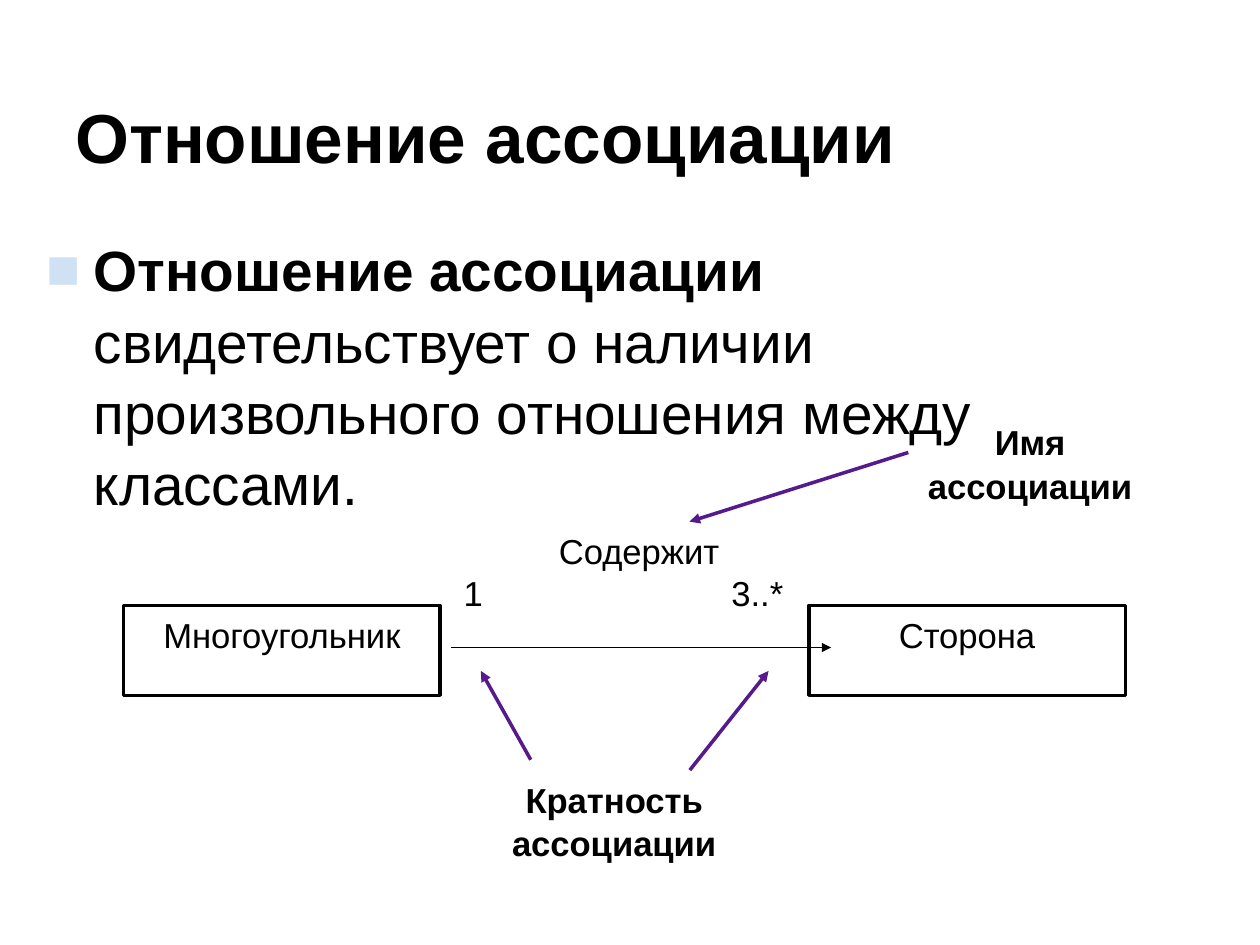
from lxml import etree
from pptx import Presentation
from pptx.dml.color import RGBColor
from pptx.enum.shapes import MSO_CONNECTOR, MSO_SHAPE
from pptx.enum.text import MSO_ANCHOR, PP_ALIGN
from pptx.oxml.ns import qn
from pptx.util import Pt

LEFT, CENTER = PP_ALIGN.LEFT, PP_ALIGN.CENTER
TOP, MIDDLE = MSO_ANCHOR.TOP, MSO_ANCHOR.MIDDLE
RECTANGLE, STRAIGHT = MSO_SHAPE.RECTANGLE, MSO_CONNECTOR.STRAIGHT
FONT = "Arial"
BLACK, WHITE, PURPLE, PALE_BLUE = "000000", "FFFFFF", "551A8B", "CFE2F3"
CLASS_WIDTH, CLASS_HEIGHT = 201, 57


def color(hex_string):
    """Turn a hex string into a colour."""
    return RGBColor.from_string(hex_string)


def write(shape, *runs, size=22, align=LEFT, anchor=TOP, spacing=1.05):
    """Write (text, bold) runs as one paragraph and return it."""
    frame = shape.text_frame
    frame.word_wrap = True
    frame.vertical_anchor = anchor
    frame.margin_left = frame.margin_right = Pt(7.9)
    frame.margin_top = frame.margin_bottom = Pt(4)
    paragraph = frame.paragraphs[0]
    paragraph.alignment = align
    paragraph.line_spacing = spacing
    for text, bold in runs:
        run = paragraph.add_run()
        run.text = text
        run.font.name = FONT
        run.font.size = Pt(size)
        run.font.bold = bold
        run.font.color.rgb = color(BLACK)
    return paragraph


def add_text(slide, box, *runs, **text_format):
    """Add a text box and return its paragraph."""
    return write(slide.shapes.add_textbox(*map(Pt, box)), *runs, **text_format)


def add_bullet(paragraph, indent):
    """Give a paragraph a square bullet with a hanging indent."""
    properties = paragraph._p.get_or_add_pPr()
    properties.set("marL", str(Pt(indent)))
    properties.set("indent", str(-Pt(indent)))
    bullet_color = etree.SubElement(properties, qn("a:buClr"))
    etree.SubElement(bullet_color, qn("a:srgbClr"), val=PALE_BLUE)
    etree.SubElement(properties, qn("a:buFont"), typeface=FONT)
    etree.SubElement(properties, qn("a:buChar"), char="■")


def add_arrow(slide, start, end, line_color=PURPLE, width=2.25):
    """Draw a straight arrow between two points."""
    arrow = slide.shapes.add_connector(STRAIGHT, *map(Pt, (*start, *end)))
    arrow.line.color.rgb = color(line_color)
    arrow.line.width = Pt(width)
    etree.SubElement(arrow.line._get_or_add_ln(), qn("a:tailEnd"), type="triangle")
    etree.SubElement(arrow._element.spPr, qn("a:effectLst"))


def add_class(slide, left, top, name):
    """Draw a class rectangle with its name."""
    box = (left, top, CLASS_WIDTH, CLASS_HEIGHT)
    shape = slide.shapes.add_shape(RECTANGLE, *map(Pt, box))
    shape.shadow.inherit = False
    shape.fill.solid()
    shape.fill.fore_color.rgb = color(WHITE)
    shape.line.color.rgb = color(BLACK)
    shape.line.width = Pt(2.25)
    write(shape, (name, False), align=CENTER)


def add_statement(slide, box):
    """Add the bulleted definition."""
    paragraph = add_text(
        slide, box, ("Отношение ассоциации", True),
        (" свидетельствует о наличии произвольного отношения между классами.", False),
        size=36)
    add_bullet(paragraph, 30)


def add_diagram(slide, box):
    """Draw two classes at the sides of the box and their association."""
    left, top, width, height = box
    class_top = top + height - CLASS_HEIGHT
    add_class(slide, left, class_top, "Многоугольник")
    add_class(slide, left + width - CLASS_WIDTH, class_top, "Сторона")
    line_left, line_top = left + 208, class_top + 26.6
    add_arrow(slide, (line_left, line_top), (line_left + 241.2, line_top), BLACK, 0.75)
    add_text(slide, (left + 226.8, top, CLASS_WIDTH, CLASS_HEIGHT),
             ("Содержит", False), align=CENTER)
    for offset, label_width, label in ((208, 40, "1"), (378, 81, "3..*")):
        add_text(slide, (left + offset, top + 26.6, label_width, CLASS_HEIGHT),
                 (label, False))


def add_callout(slide, box, text, arrows):
    """Add a bold label and arrows given relative to its corner."""
    left, top = box[:2]
    add_text(slide, box, (text, True), align=CENTER)
    for (start_x, start_y), (end_x, end_y) in arrows:
        add_arrow(slide, (left + start_x, top + start_y), (left + end_x, top + end_y))


def main():
    """Build and save the slide."""
    presentation = Presentation()
    presentation.slide_width, presentation.slide_height = Pt(800), Pt(600)
    slide = presentation.slides.add_slide(presentation.slide_layouts[6])
    add_text(slide, (40, 40, 720, 90), ("Отношение ассоциации", True),
             size=44, anchor=MIDDLE)
    add_statement(slide, (21.6, 143, 756, 159))
    add_diagram(slide, (78.5, 331.2, 636, 110.3))
    add_callout(slide, (293, 489, 194, 61), "Кратность ассоциации",
                [((145, 0), (195, -63)), ((44, -6.6), (12.3, -63))])
    add_callout(slide, (557, 262, 194, 61), "Имя ассоциации",
                [((19.7, 25.3), (-119.2, 69.2))])
    presentation.save("out.pptx")


if __name__ == "__main__":
    main()
